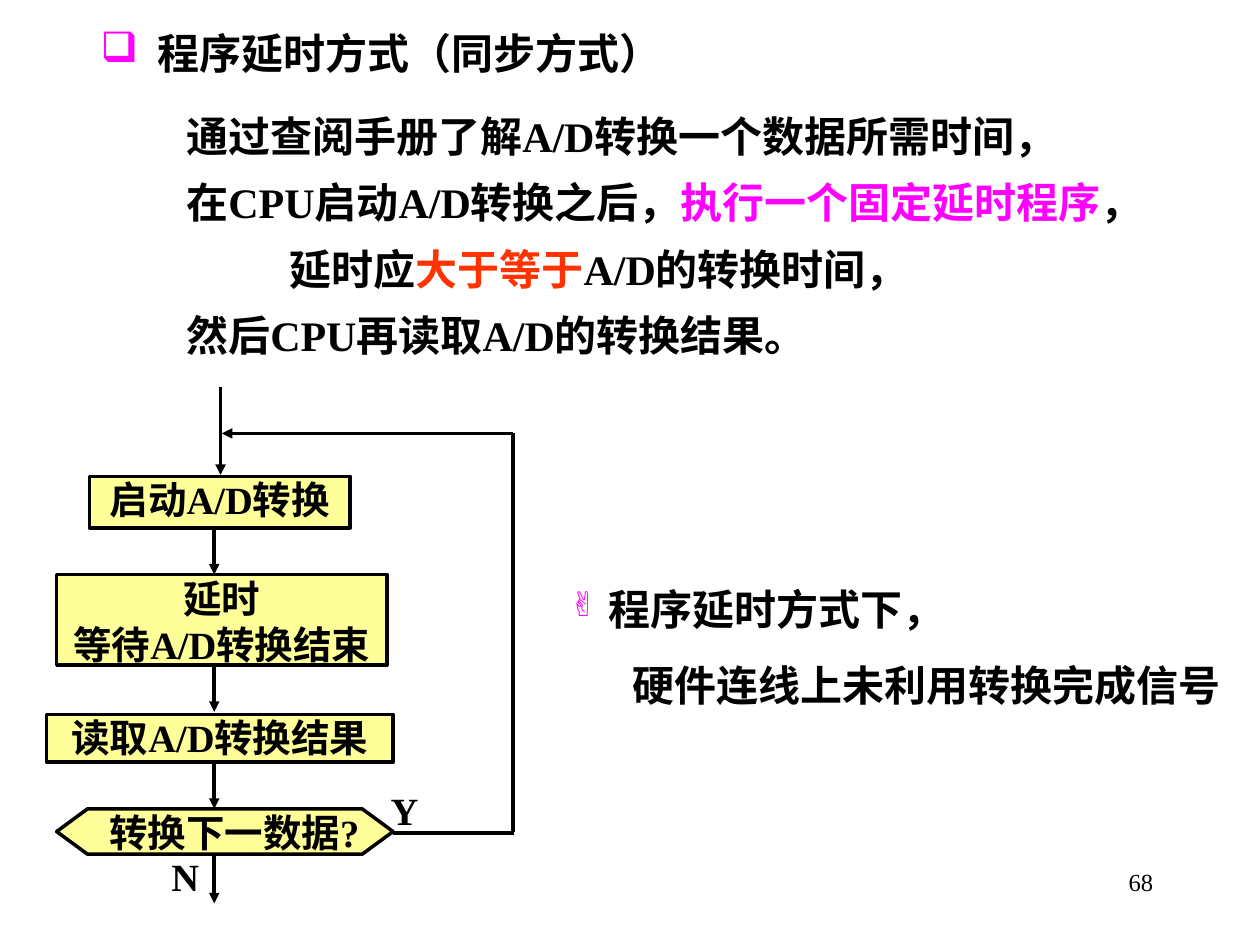
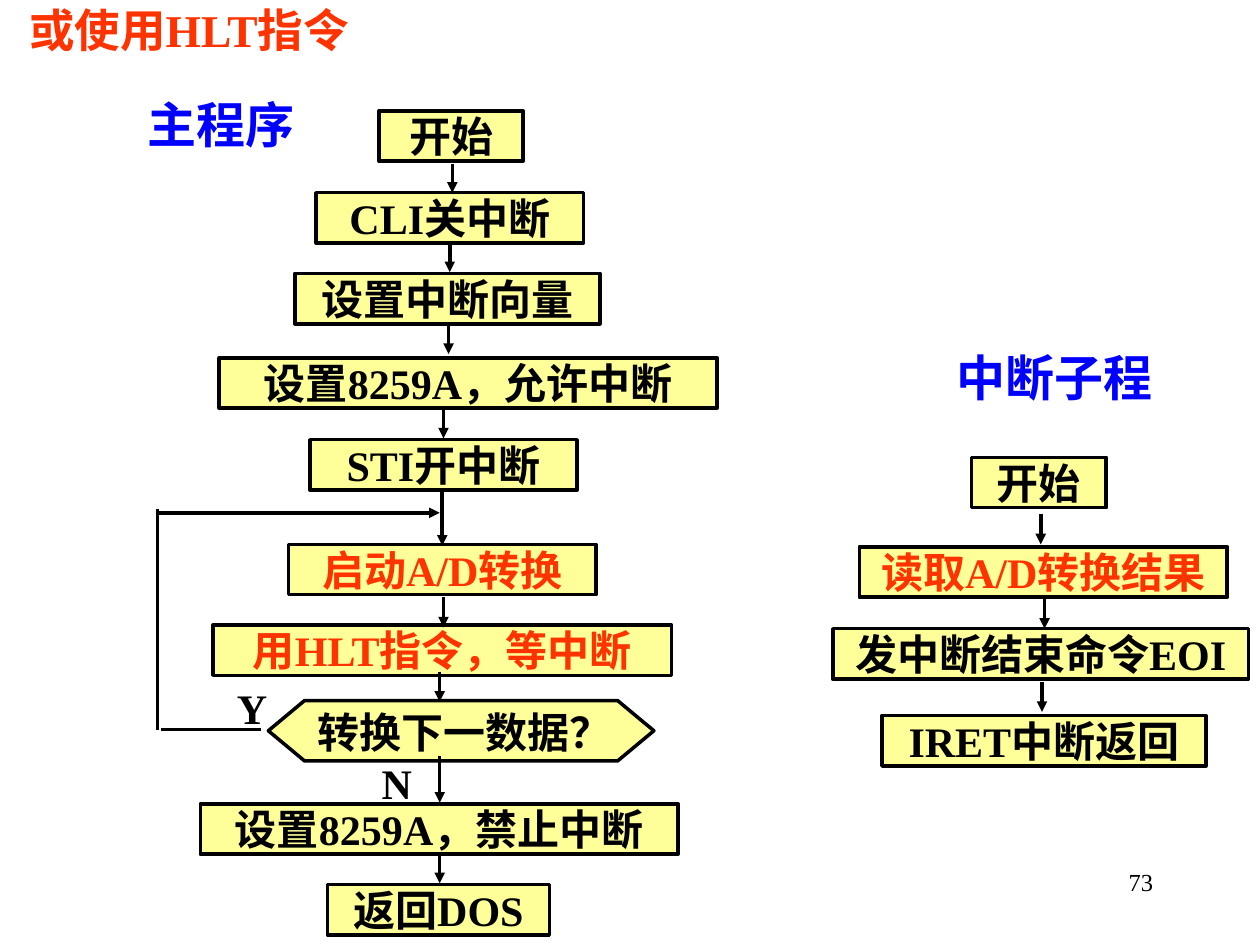
import lxml.etree
import pptx
import pptx.dml.color
import pptx.enum.shapes
import pptx.enum.text
import pptx.oxml.ns
import pptx.util
from dataclasses import dataclass

Shape = pptx.enum.shapes.MSO_SHAPE
Align = pptx.enum.text.PP_ALIGN
Anchor = pptx.enum.text.MSO_ANCHOR
qn = pptx.oxml.ns.qn


@dataclass(frozen=True)
class Theme:
    latin: str = "Times New Roman"
    asian: str = "Noto Sans CJK SC"
    black: str = "000000"
    magenta: str = "FF00FF"
    red: str = "FF3300"
    blue: str = "0000FF"
    yellow: str = "FFFF99"
    body: int = 24
    step: int = 22
    heading: int = 28
    title: int = 26
    number: int = 14
    line: int = 2


theme = Theme()
deck = pptx.Presentation()
deck.slide_width = pptx.util.Inches(10)
deck.slide_height = pptx.util.Inches(7.5)
# The grid has 100 columns and 75 rows of equal size
unit = deck.slide_width / 100


def add_text(page, text, left, top, width, height, shape=None, fill=None,
             size=theme.body, color=theme.black, bold=True, align=Align.LEFT,
             anchor=Anchor.TOP, inset=0, wrap=True, accents={}, indents=(),
             bullet=None, bullet_size=100, before=0, after=0):
    """Place text, in a shape if one is given; each line is a paragraph."""
    area = [round(value * unit) for value in (left, top, width, height)]
    if shape is None:
        box = page.shapes.add_textbox(*area)
    else:
        box = page.shapes.add_shape(shape, *area)
        box.shadow.inherit = False
        if fill:
            box.fill.solid()
            box.fill.fore_color.rgb = pptx.dml.color.RGBColor.from_string(fill)
            box.line.color.rgb = pptx.dml.color.RGBColor.from_string(theme.black)
            box.line.width = pptx.util.Pt(theme.line)
        else:
            box.fill.background()
            box.line.fill.background()
    frame = box.text_frame
    frame.word_wrap = wrap
    frame.vertical_anchor = anchor
    frame.margin_left = frame.margin_right = round(inset * unit)
    frame.margin_top = frame.margin_bottom = round(inset * unit / 2)

    for index, line in enumerate(text.split("\n") if text else []):
        para = frame.paragraphs[0] if index == 0 else frame.add_paragraph()
        properties = para._p.get_or_add_pPr()
        if indents:
            properties.set("marL", str(round(indents[index] * unit)))
        if bullet and index == 0:
            properties.set("indent", str(-round(indents[0] * unit)))
            tint = lxml.etree.SubElement(properties, qn("a:buClr"))
            lxml.etree.SubElement(tint, qn("a:srgbClr"), val=theme.magenta)
            lxml.etree.SubElement(properties, qn("a:buSzPct"), val=str(bullet_size * 1000))
            lxml.etree.SubElement(properties, qn("a:buChar"), char=bullet)
        para.alignment = align
        para.space_before = pptx.util.Pt(before if index else 0)
        para.space_after = pptx.util.Pt(after)

        # Cut the line into plain and accented spans
        spans = [(line, color)]
        for phrase, tone in accents.items():
            if phrase in line:
                start, end = line.split(phrase)
                spans = [(start, color), (phrase, tone), (end, color)]
        for words, tone in spans:
            if not words:
                continue
            span = para.add_run()
            span.text = words
            span.font.name = theme.latin
            span.font.size = pptx.util.Pt(size)
            span.font.bold = bold
            span.font.color.rgb = pptx.dml.color.RGBColor.from_string(tone)
            asian = lxml.etree.SubElement(span._r.get_or_add_rPr(), qn("a:ea"))
            asian.set("typeface", theme.asian)
    return box


def add_line(page, x1, y1, x2, y2, arrow=True):
    """Draw a straight flow line, with an arrowhead at its end."""
    ends = [round(value * unit) for value in (x1, y1, x2, y2)]
    line = page.shapes.add_connector(pptx.enum.shapes.MSO_CONNECTOR.STRAIGHT, *ends)
    line.line.color.rgb = pptx.dml.color.RGBColor.from_string(theme.black)
    line.line.width = pptx.util.Pt(theme.line)
    if arrow:
        lxml.etree.SubElement(line.line._get_or_add_ln(), qn("a:tailEnd"), type="triangle")
    lxml.etree.SubElement(line._element.spPr, qn("a:effectLst"))


# Both pages, with their numbers
pages = []
for number in ("68", "73"):
    page = deck.slides.add_slide(deck.slide_layouts[6])
    add_text(page, number, 71.7, 68.3, 20.8, 5, size=theme.number,
             bold=False, align=Align.RIGHT, inset=1)
    pages.append(page)
delay_page, interrupt_page = pages

# Delay page: title, explanation and remark
add_text(delay_page, "程序延时方式（同步方式）", 7, 1.7, 46.5, 5, inset=1,
         wrap=False, bullet="❑", indents=[4.5], after=9)
add_text(delay_page,
         "通过查阅手册了解A/D转换一个数据所需时间，\n"
         "在CPU启动A/D转换之后，执行一个固定延时程序，\n"
         "延时应大于等于A/D的转换时间，\n"
         "然后CPU再读取A/D的转换结果。",
         8.8, 8.3, 86.1, 20.8, inset=1, wrap=False, after=9,
         indents=[5, 5, 13.2, 5],
         accents={"执行一个固定延时程序": theme.magenta, "大于等于": theme.red})
add_text(delay_page, "程序延时方式下，\n硬件连线上未利用转换完成信号",
         44.2, 45.8, 54.2, 11.1, inset=1, bullet="✌", bullet_size=80,
         indents=[3.1, 5], before=15)

# Delay page: flow chart steps
for text, left, top, width, height in (
    ("启动A/D转换", 7.1, 37.8, 20.7, 4.1),
    ("延时\n等待A/D转换结束", 4.5, 45.6, 26.2, 7.2),
    ("读取A/D转换结果", 3.7, 56.7, 27.5, 3.8),
):
    add_text(delay_page, text, left, top, width, height, shape=Shape.RECTANGLE,
             fill=theme.yellow, size=theme.step, align=Align.CENTER)
decision = add_text(delay_page, "", 4.5, 64.2, 26.7, 3.6,
                    shape=Shape.HEXAGON, fill=theme.yellow)
decision.adjustments[0] = 0.68
add_text(delay_page, "转换下一数据?", 7.7, 64.2, 21.8, 3.7,
         size=theme.step, align=Align.CENTER)
for answer, left, top in (("Y", 31, 62.5), ("N", 13.6, 67.7)):
    add_text(delay_page, answer, left, top, 4, 2.5, size=theme.step)

# Delay page: arrows down, then the loop back
add_line(delay_page, 17.5, 30.7, 17.5, 37.7)
for start, end in ((42, 45.6), (52.8, 56.5), (60.5, 64.2), (67.9, 71.7)):
    add_line(delay_page, 17, start, 17, end)
add_line(delay_page, 31.2, 66.1, 40.8, 66.1, arrow=False)
add_line(delay_page, 40.7, 66, 40.7, 34.4, arrow=False)
add_line(delay_page, 40.7, 34.4, 17.6, 34.4)

# Interrupt page: title and headings
add_text(interrupt_page, "或使用HLT指令", 0, 0.2, 30, 4.3, size=theme.title,
         color=theme.red, align=Align.CENTER)
for text, left, top, width in (("主程序", 11.7, 7.5, 14.7), ("中断子程", 75.9, 27.6, 17.5)):
    add_text(interrupt_page, text, left, top, width, 4, size=theme.heading,
             color=theme.blue, shape=Shape.FLOWCHART_PROCESS)

# Interrupt page: steps of the main program and of the subroutine
for text, left, top, width, color in (
    ("开始", 30.1, 8.8, 11.4, theme.black),
    ("CLI关中断", 25.1, 15.3, 21.2, theme.black),
    ("设置中断向量", 23.4, 21.7, 24.2, theme.black),
    ("设置8259A，允许中断", 17.4, 28.4, 39.5, theme.black),
    ("STI开中断", 24.6, 34.9, 21.2, theme.black),
    ("启动A/D转换", 22.9, 43.2, 24.4, theme.red),
    ("用HLT指令，等中断", 16.9, 49.6, 36.4, theme.red),
    ("设置8259A，禁止中断", 15.9, 63.8, 37.9, theme.black),
    ("返回DOS", 26, 70.2, 17.6, theme.black),
    ("开始", 77.1, 36.3, 10.7, theme.black),
    ("读取A/D转换结果", 68.2, 43.4, 29.2, theme.red),
    ("发中断结束命令EOI", 66.1, 49.9, 33, theme.black),
    ("IRET中断返回", 70, 56.8, 25.7, theme.black),
):
    add_text(interrupt_page, text, left, top, width, 4, color=color,
             shape=Shape.FLOWCHART_PROCESS, fill=theme.yellow,
             align=Align.CENTER, anchor=Anchor.MIDDLE)
decision = add_text(interrupt_page, "", 21.3, 55.6, 30.6, 4.8,
                    shape=Shape.HEXAGON, fill=theme.yellow)
decision.adjustments[0] = 0.6
add_text(interrupt_page, "转换下一数据？", 24.4, 56.3, 25, 3.6,
         align=Align.CENTER, anchor=Anchor.MIDDLE)
for answer, left, top in (("Y", 18.8, 54.2), ("N", 30.3, 60.1)):
    add_text(interrupt_page, answer, left, top, 4, 3)

# Interrupt page: arrows down, then the loop back
for x, start, end in (
    (35.9, 13, 15.3), (35.7, 19.3, 21.6), (35.6, 25.8, 28.1),
    (35.2, 32.4, 34.8), (35.1, 38.8, 43.3), (35.2, 47.4, 49.8),
    (34.9, 53.3, 55.7), (34.9, 60, 63.7), (34.9, 67.8, 70.1),
    (82.6, 40.8, 43.2), (82.9, 47.5, 49.9), (82.7, 54.1, 56.5),
):
    add_line(interrupt_page, x, start, x, end)
add_line(interrupt_page, 20.7, 57.9, 12.8, 57.9, arrow=False)
add_line(interrupt_page, 12.5, 57.9, 12.5, 40.4, arrow=False)
add_line(interrupt_page, 12.5, 40.7, 34.9, 40.7)

deck.save("out.pptx")
